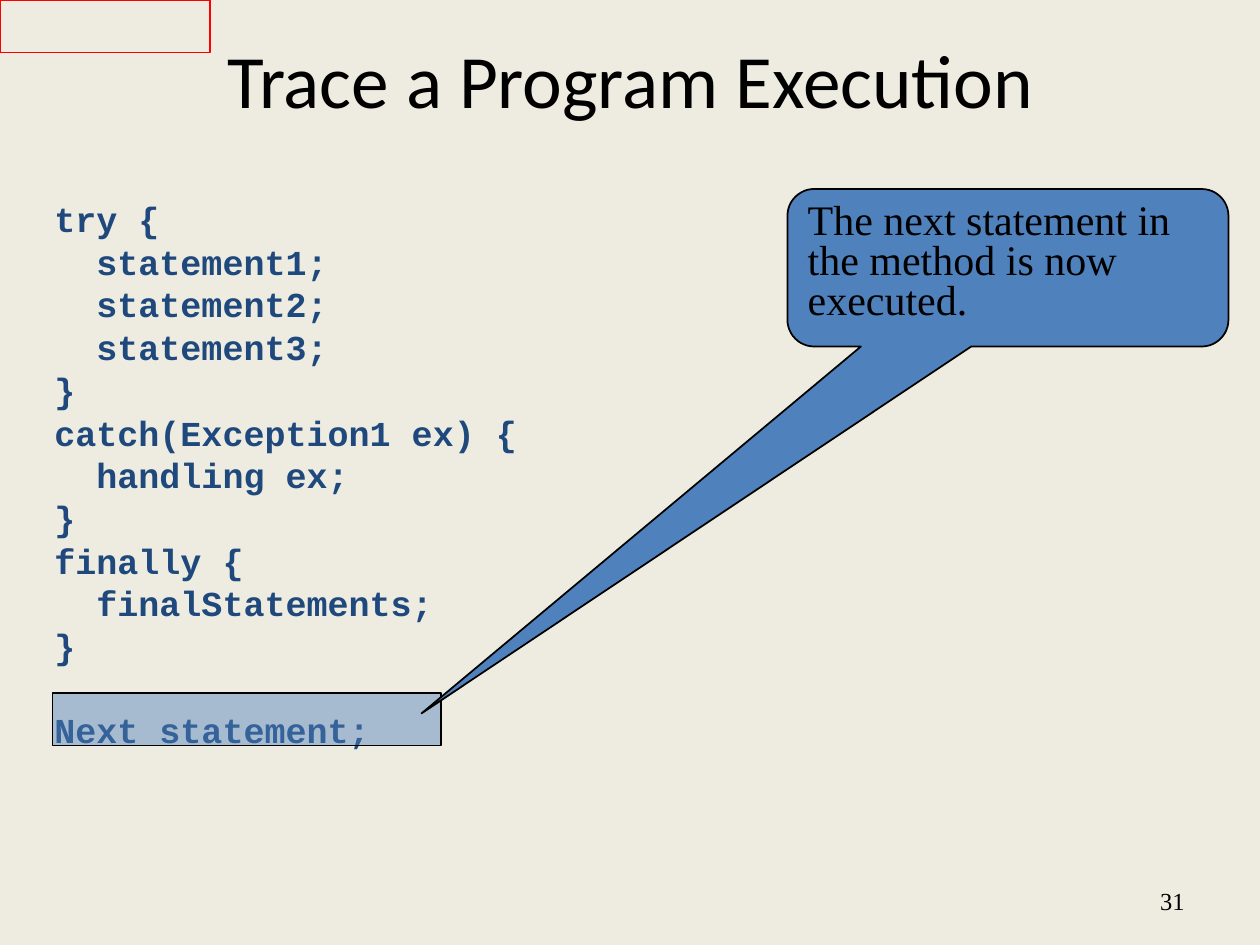
import pptx
import pptx.util
import pptx.dml.color
import pptx.enum.shapes
import pptx.enum.text
import pptx.oxml.ns
import lxml.etree

RGB = pptx.dml.color.RGBColor
Pt = pptx.util.Pt
KIND = pptx.enum.shapes.MSO_SHAPE
SIDE = pptx.enum.text.PP_ALIGN
HIGH = pptx.enum.text.MSO_ANCHOR
CREAM = RGB(0xEE, 0xEC, 0xE1)
NAVY = RGB(0x1F, 0x49, 0x7D)
BLUE = RGB(0x4F, 0x81, 0xBD)
BLACK = RGB(0, 0, 0)
RED = RGB(0xFF, 0, 0)

deck = pptx.Presentation()
deck.slide_width = pptx.util.Inches(10)
deck.slide_height = pptx.util.Inches(7.5)
slide = deck.slides.add_slide(deck.slide_layouts[6])
slide.background.fill.solid()
slide.background.fill.fore_color.rgb = CREAM
cell = deck.slide_width / 120


def grid(*spans):
    return [int(span * cell) for span in spans]


def write(frame, lines, face, form, high=HIGH.TOP):
    frame.word_wrap = True
    frame.vertical_anchor = high
    for row, line in enumerate(lines):
        para = frame.paragraphs[0] if row == 0 else frame.add_paragraph()
        run = para.add_run()
        run.text = line
        run.font.color.rgb = face["color"]
        for key in ("name", "size", "bold"):
            setattr(run.font, key, face[key])
        for key, value in form.items():
            setattr(para, key, value)


title = {"name": "Calibri", "size": Pt(43), "bold": False, "color": BLACK}
code = {"name": "Courier New", "size": Pt(20), "bold": True, "color": NAVY}
note = {"name": "Times New Roman", "size": Pt(24), "bold": False, "color": BLACK}
page = {**note, "size": Pt(14)}
tight = {"line_spacing": 0.8, "space_before": Pt(5.2), "alignment": SIDE.LEFT}

lines = [
    (0, "try {"),
    (1, "statement1;"),
    (1, "statement2;"),
    (1, "statement3;"),
    (0, "}"),
    (0, "catch(Exception1 ex) {"),
    (1, "handling ex;"),
    (0, "}"),
    (0, "finally {"),
    (1, "finalStatements;"),
    (0, "}"),
    (0, "Next statement;"),
]

texts = [
    ((9, 4, 102, 7), ["Trace a Program Execution"], title,
     {"alignment": SIDE.CENTER}, HIGH.MIDDLE),
    ((4, 19, 61, 59), [line for step, line in lines], code, tight, HIGH.TOP),
    ((86, 83.4, 28, 4.8), ["31"], page, {"alignment": SIDE.RIGHT}, HIGH.MIDDLE),
]
frames = []
for spot, words, face, form, high in texts:
    frame = slide.shapes.add_textbox(*grid(*spot)).text_frame
    write(frame, words, face, form, high)
    frames.append(frame)

for para, (step, line) in zip(frames[1].paragraphs, lines):
    para._p.get_or_add_pPr().set("marL", str(Pt(24 * step)))
frames[1].paragraphs[-1].space_before = Pt(28.5)

shapes = [
    (KIND.RECTANGLE, (0, 0, 20, 5), None, RED),
    (KIND.RECTANGLE, (5, 66, 37, 5), BLUE, BLACK),
    (KIND.ROUNDED_RECTANGULAR_CALLOUT, (75, 18, 42, 15), BLUE, BLACK),
]
drawn = []
for kind, spot, fill, line in shapes:
    shape = slide.shapes.add_shape(kind, *grid(*spot))
    shape.shadow.inherit = False
    shape.line.color.rgb = line
    shape.line.width = Pt(1)
    if fill is None:
        shape.fill.background()
    else:
        shape.fill.solid()
        shape.fill.fore_color.rgb = fill
    drawn.append(shape)

frame, mark, call = drawn
qn = pptx.oxml.ns.qn
tint = mark.fill._xPr.find(qn("a:solidFill"))[0]
lxml.etree.SubElement(tint, qn("a:alpha")).set("val", "45000")

for index, value in enumerate((-1.33, 2.83, 0.17)):
    call.adjustments[index] = value
write(call.text_frame, ["The next statement in the method is now executed."], note, tight)

deck.save("out.pptx")
